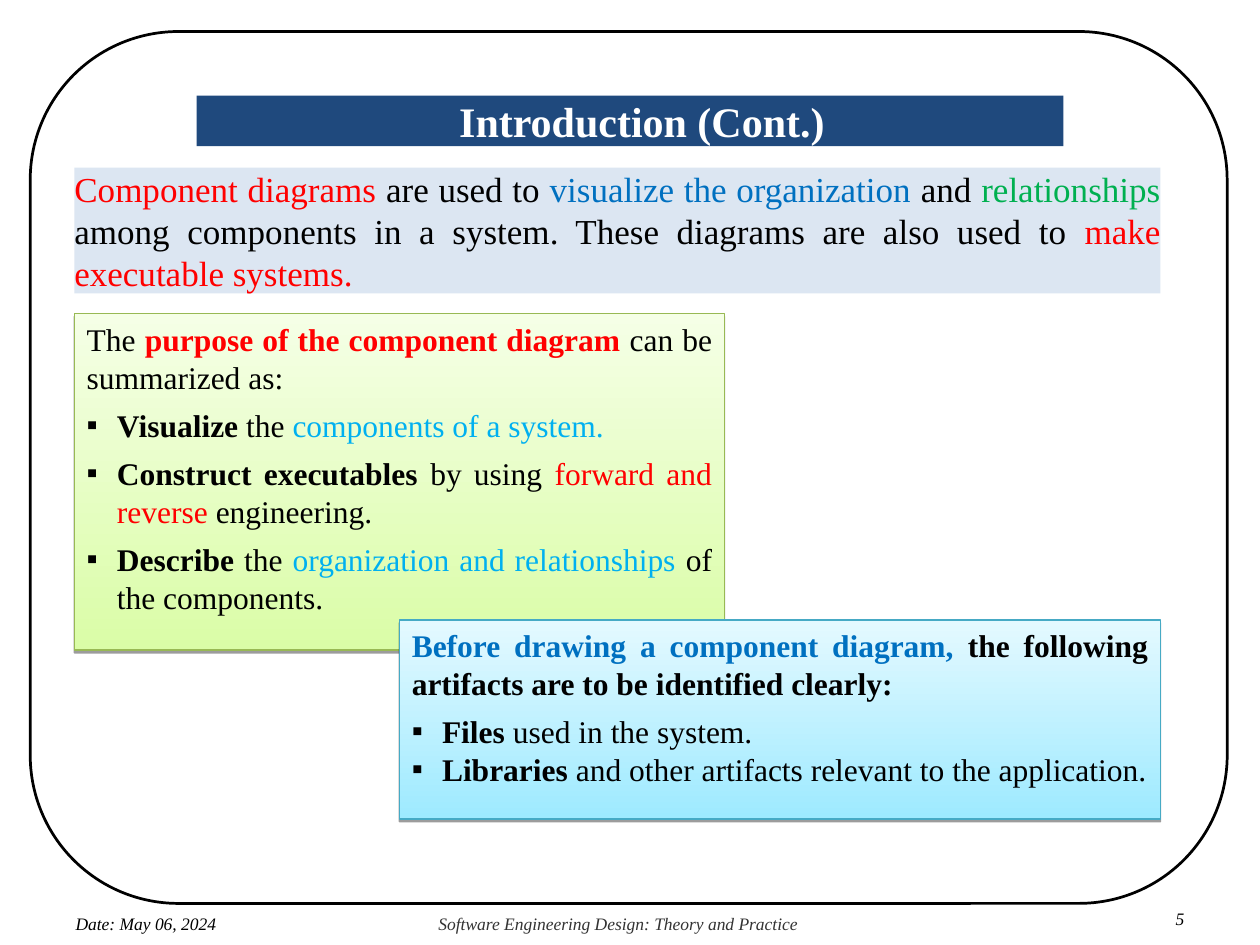
from dataclasses import dataclass

from lxml import etree
from pptx import Presentation
from pptx import util as u
from pptx.dml.color import RGBColor
from pptx.enum import shapes, text
from pptx.oxml import ns

Inches, Pt = u.Inches, u.Pt


@dataclass(frozen=True)
class Theme:
    font: str = "Times New Roman"
    black: str = "000000"
    white: str = "FFFFFF"
    gray: str = "333333"
    red: str = "FF0000"
    blue: str = "0070C0"
    sky: str = "00B0F0"
    green: str = "00B050"
    navy: str = "1F497D"
    pale: str = "DCE6F2"
    lime: tuple = ("DAFDA7", "F5FFE6", "98B954")  # bottom, top, edge
    aqua: tuple = ("9EEAFF", "E4F9FF", "46AAC5")
    head: int = 24
    lead: int = 20
    body: int = 18
    foot: int = 10


T = Theme()
LEFT, RIGHT = 0.59, 9.21


def color(code):
    return RGBColor.from_string(code)


def place(shape, box):
    shape.left, shape.top, shape.width, shape.height = map(Inches, box)


def sub(parent, tag, **attrs):
    return etree.SubElement(parent, ns.qn(tag), attrs)


def write(par, runs, size, align=None, after=None, line=None, left=0,
          bullet=False, italic=False):
    """Fill a paragraph with (text, colour, bold) runs; colour and bold may be left out."""
    props = par._p.get_or_add_pPr()
    if bullet:
        left = 0.24
        props.set("indent", str(-Inches(left)))
        tint = sub(props, "a:buClr")
        sub(tint, "a:srgbClr", val=T.black)
        sub(props, "a:buFont", typeface=T.font)
        sub(props, "a:buChar", char="▪")
    props.set("marL", str(Inches(left)))
    par.alignment = align
    if after is not None:
        par.space_after = Pt(after)
    if line:
        par.line_spacing = Pt(line)
    for words, tint, bold in ((*r, T.black, False)[:3] if len(r) == 1
                              else (*r, False)[:3] for r in runs):
        run = par.add_run()
        run.text = words
        font = run.font
        font.name, font.size = T.font, Pt(size)
        font.bold, font.italic = bold, italic
        font.color.rgb = color(tint)


def setup(shape, pad=(0, 0), wrap=True):
    frame = shape.text_frame
    frame.word_wrap = wrap
    frame.auto_size = text.MSO_AUTO_SIZE.NONE
    frame.vertical_anchor = text.MSO_ANCHOR.TOP
    frame.margin_left = frame.margin_right = Inches(pad[0])
    frame.margin_top = frame.margin_bottom = Inches(pad[1])
    return frame


def block(slide, box, kind=shapes.MSO_SHAPE.RECTANGLE):
    shape = slide.shapes.add_shape(kind, *map(Inches, box))
    shape.shadow.inherit = False
    return shape


def border(slide, box):
    shape = block(slide, box, shapes.MSO_SHAPE.ROUNDED_RECTANGLE)
    shape.adjustments[0] = 0.17
    shape.fill.background()
    shape.line.color.rgb = color(T.black)
    shape.line.width = Pt(1.56)


def title(slide, box):
    shape = slide.shapes.title
    place(shape, box)
    shape.fill.solid()
    shape.fill.fore_color.rgb = color(T.navy)
    write(setup(shape).paragraphs[0], [("Introduction (Cont.)", T.white, True)],
          T.head, align=text.PP_ALIGN.CENTER, left=0.19)


def lead(slide, box, runs):
    shape = block(slide, box)
    shape.fill.solid()
    shape.fill.fore_color.rgb = color(T.pale)
    shape.line.fill.background()
    write(setup(shape).paragraphs[0], runs, T.lead,
          align=text.PP_ALIGN.JUSTIFY, after=6)


def card(slide, box, tones, intro, items, gap):
    """Gradient panel with an opening sentence and a bullet list."""
    shape = block(slide, box)
    *stops, edge = tones
    shape.fill.gradient()
    shape.fill.gradient_angle = 90
    for stop, tone in zip(shape.fill.gradient_stops, stops):
        stop.color.rgb = color(tone)
    shape.line.color.rgb = color(edge)
    shape.line.width = Pt(0.75)
    effects = shape._element.spPr.find(ns.qn("a:effectLst"))
    shade = sub(effects, "a:outerShdw", blurRad="0", dist=str(Pt(1.6)),
                dir="5400000", rotWithShape="0")
    tint = sub(shade, "a:srgbClr", val=T.black)
    sub(tint, "a:alpha", val="38000")

    frame = setup(shape, pad=(0.1, 0.05))
    look = dict(size=T.body, align=text.PP_ALIGN.JUSTIFY)
    write(frame.paragraphs[0], intro, after=6, **look)
    for item in items:
        write(frame.add_paragraph(), item, after=gap, bullet=True, **look)


def footer(slide, top):
    parts = [
        (LEFT, top, 1.58, "Date: May 06, 2024", T.black, 0.01),
        (3.47, top, 2.89, "Software Engineering Design: Theory and Practice",
         T.gray, 0.01),
        (9.22, top - 0.04, 0.24, "5", T.black, 0.11),
    ]
    for x, y, width, words, tint, left in parts:
        shape = slide.shapes.add_textbox(*map(Inches, (x, y, width, 0.16)))
        write(setup(shape, wrap=False).paragraphs[0], [(words, tint)], T.foot,
              line=11.8, left=left, italic=True)


def main():
    deck = Presentation()
    deck.slide_width, deck.slide_height = Inches(10), Inches(7.5)
    slide = deck.slides.add_slide(deck.slide_layouts[5])

    border(slide, (0.24, 0.25, 9.5, 6.92))
    title(slide, (1.56, 0.76, 6.88, 0.4))
    lead(slide, (LEFT, 1.33, RIGHT - LEFT, 1), [
        ("Component diagrams ", T.red), ("are used to ",),
        ("visualize the organization", T.blue), (" and ",),
        ("relationships", T.green),
        (" among components in a system. These diagrams are also used to ",),
        ("make executable systems.", T.red),
    ])
    card(slide, (LEFT, 2.49, 5.16, 2.67), T.lime, [
        ("The ",), ("purpose of the component diagram ", T.red, True),
        ("can be summarized as:",),
    ], [
        [("Visualize ", T.black, True), ("the ",),
         ("components of a system.", T.sky)],
        [("Construct executables ", T.black, True), ("by using ",),
         ("forward and reverse ", T.red), ("engineering.",)],
        [("Describe", T.black, True), (" the ",),
         ("organization and relationships ", T.sky), ("of the components.",)],
    ], gap=6)
    card(slide, (3.17, 4.92, RIGHT - 3.17, 1.58), T.aqua, [
        ("Before drawing a component diagram,", T.blue, True),
        (" the following artifacts are to be identified clearly:", T.black, True),
    ], [
        [("Files ", T.black, True), ("used in the system.",)],
        [("Libraries", T.black, True),
         (" and other artifacts relevant to the application.",)],
    ], gap=0)
    footer(slide, 7.25)
    deck.save("out.pptx")


if __name__ == "__main__":
    main()
